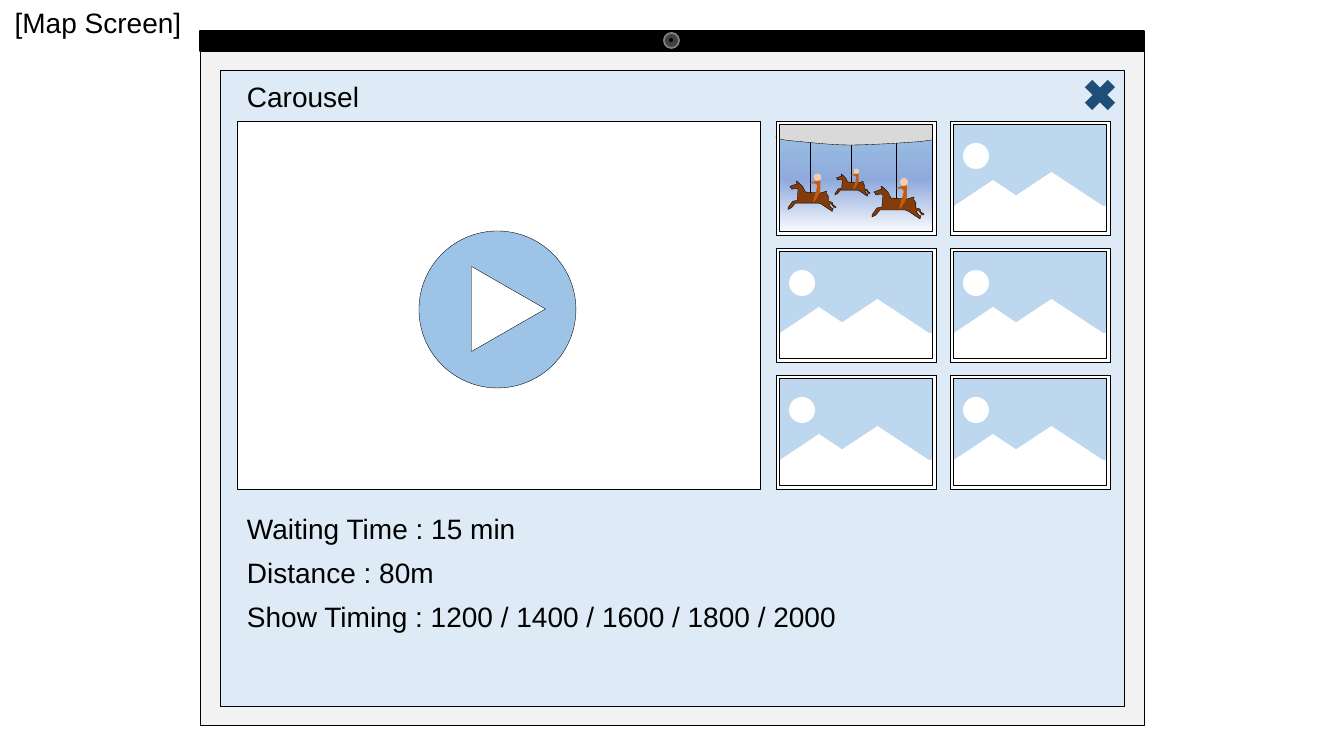
import copy

import pptx
import pptx.dml.color
import pptx.enum.shapes
import pptx.enum.text
import pptx.oxml.ns
import pptx.util

SHAPE = pptx.enum.shapes.MSO_SHAPE
PX = 914400 / 100.8
BLACK, WHITE = "000000", "FFFFFF"
TITLE = ("[Map Screen]", (0, 0, 196, 44))
LABELS = [
    ("Carousel", (237, 75, 590, 44)),
    ("Waiting Time : 15 min", (237, 507, 590, 44)),
    ("Distance : 80m", (237, 551, 590, 44)),
    ("Show Timing : 1200 / 1400 / 1600 / 1800 / 2000", (237, 595, 623, 44)),
]
TABLET = [
    (SHAPE.RECTANGLE, (200, 51, 944, 674), "F2F2F2", BLACK, 0.25),
    (SHAPE.RECTANGLE, (200, 31, 944, 20), BLACK, BLACK, 1),
    (SHAPE.OVAL, (663, 32, 17, 17), "808080"),
    (SHAPE.OVAL, (665, 34, 13, 13), "404040"),
    (SHAPE.OVAL, (669, 38, 4, 4), BLACK),
]
SCREEN = [
    (SHAPE.RECTANGLE, (220, 70, 904, 636), "DEEBF7", BLACK),
    (SHAPE.RECTANGLE, (237, 121, 523, 368), WHITE, BLACK),
    (SHAPE.MATH_MULTIPLY, (1078, 73, 44, 44), "1F4E79"),
    (SHAPE.OVAL, (419, 231, 157, 157), "9DC3E6", BLACK),
]
PLAY_ARROW = (SHAPE.ISOSCELES_TRIANGLE, (466, 272, 85, 74), WHITE, BLACK)
GRID_LEFT, GRID_TOP, COLUMN_STEP, ROW_STEP = 776, 121, 174, 127
THUMB_WIDTH, THUMB_HEIGHT = 160, 114
LANDSCAPE = [
    (SHAPE.ISOSCELES_TRIANGLE, (4, 59, 78, 26)),
    (SHAPE.ISOSCELES_TRIANGLE, (50, 51, 103, 34)),
    (SHAPE.OVAL, (13, 22, 26, 26)),
    (SHAPE.RECTANGLE, (4, 85, 154, 25)),
]
SKY = [(0, WHITE), (0.48, "8FAADC"), (1, "9DC3E6")]
HORSES = [(788, 181, 48, 142), (835, 174, 35, 145), (872, 186, 52, 143)]
HORSE_WIDTH = 52
HORSE = [
    (9, 0), (10, 3), (2, 6), (3, 7), (4, 9), (9, 8), (11, 9), (10, 21), (5, 22),
    (0, 29), (0, 31), (4, 29), (8, 24), (23, 24), (30, 24), (33, 24), (36, 25),
    (39, 27), (45, 31), (48, 33), (49, 30), (47, 29), (44, 25), (47, 25), (50, 29),
    (52, 29), (52, 28), (49, 26), (48, 23), (44, 22), (44, 17), (42, 14), (42, 11),
    (35, 13), (19, 12), (16, 6), (12, 2),
]
RIDER = [
    (31, 0), (29, 0), (24, 2), (24, 3), (23, 3), (29, 2), (30, 3), (32, 4), (32, 6),
    (31, 8), (31, 11), (29, 13), (29, 16), (28, 18), (27, 23), (28, 23), (28, 23),
    (31, 19), (32, 17), (33, 15), (34, 14), (34, 13), (35, 11), (35, 10), (35, 8),
    (35, 6), (35, 2), (35, 0), (34, -1), (33, 0), (31, 0),
]
CANOPY = [
    (1, 15), (4, 16), (6, 17), (18, 18), (30, 19), (54, 22), (74, 22), (94, 22),
    (124, 20), (138, 19), (152, 18), (154, 17), (157, 17), (161, 16), (157, 16),
    (158, 15), (158, 13), (159, 11), (159, 8), (159, 6), (159, 2), (158, 1), (157, -1),
    (154, 0), (154, 0), (154, 0), (24, 0), (24, 0), (-1, 0), (6, 0), (3, 0), (-1, 0),
    (2, -1), (1, 1), (1, 2), (2, 9), (2, 11), (2, 13), (-2, 14), (1, 15),
]


def px(value):
    return pptx.util.Emu(round(value * PX))


def color(value):
    return pptx.dml.color.RGBColor.from_string(value)


def style(shape, fill, line=None, weight=0.25):
    shape.shadow.inherit = False
    shape.fill.solid()
    shape.fill.fore_color.rgb = color(fill)
    if line:
        shape.line.color.rgb = color(line)
        shape.line.width = pptx.util.Pt(weight)
    else:
        shape.line.fill.background()
    return shape


def draw(shapes, kind, box, fill, line=None, weight=0.25):
    return style(shapes.add_shape(kind, *map(px, box)), fill, line, weight)


def write(shape, text, size=20, font="Arial", fill=BLACK, align="LEFT", wrap=True):
    frame = shape.text_frame
    frame.word_wrap = wrap
    frame.auto_size = pptx.enum.text.MSO_AUTO_SIZE.SHAPE_TO_FIT_TEXT
    frame.vertical_anchor = pptx.enum.text.MSO_ANCHOR.TOP
    frame.text = text
    paragraph = frame.paragraphs[0]
    paragraph.alignment = getattr(pptx.enum.text.PP_ALIGN, align)
    paragraph.font.size = pptx.util.Pt(size)
    paragraph.font.name = font
    paragraph.font.color.rgb = color(fill)


def flatten(nodes, steps=6):
    points = [nodes[0]]
    for start in range(0, len(nodes) - 1, 3):
        curve = nodes[start:start + 4]
        for step in range(1, steps + 1):
            t = step / steps
            weights = ((1 - t) ** 3, 3 * t * (1 - t) ** 2, 3 * t * t * (1 - t), t ** 3)
            points.append(tuple(
                sum(w * node[axis] for w, node in zip(weights, curve)) for axis in (0, 1)
            ))
    return points


def outline(shapes, points, left, top, unit, fill, line=None):
    fine = [(round(x * 100), round(y * 100)) for x, y in points]
    builder = shapes.build_freeform(*fine[0], scale=unit * PX / 100)
    builder.add_line_segments(fine[1:], close=True)
    return style(builder.convert_to_shape(px(left), px(top)), fill, line)


def add_pole(shapes, x, top, bottom):
    pole = shapes.add_connector(
        pptx.enum.shapes.MSO_CONNECTOR.STRAIGHT, px(x), px(top), px(x), px(bottom))
    pole.line.color.rgb = color(BLACK)
    pole.line.width = pptx.util.Pt(0.5)
    properties = pole._element.spPr
    properties.append(properties.makeelement(pptx.oxml.ns.qn("a:effectLst"), {}))


def add_landscape(shapes, left, top):
    for kind, (x, y, width, height) in LANDSCAPE:
        draw(shapes, kind, (left + x, top + y, width, height), WHITE)


def add_carousel(shapes, backdrop):
    backdrop.fill.gradient()
    backdrop.fill.gradient_angle = 90
    stop_list = backdrop._element.spPr.find(".//" + pptx.oxml.ns.qn("a:gsLst"))
    stop_list.append(copy.deepcopy(stop_list[0]))
    for stop, (position, shade) in zip(backdrop.fill.gradient_stops, SKY):
        stop.position = position
        stop.color.rgb = color(shade)
    for left, top, width, pole_top in HORSES:
        unit = width / HORSE_WIDTH
        add_pole(shapes, left + 24 * unit, pole_top, top + 14 * unit)
        outline(shapes, HORSE, left, top, unit, "843C0B", BLACK)
        head = (left + 28 * unit, top - 8 * unit, 8 * unit, 8 * unit)
        draw(shapes, SHAPE.OVAL, head, "F8CBAD")
        outline(shapes, flatten(RIDER), left, top, unit, "C55A11")
    outline(shapes, flatten(CANOPY), GRID_LEFT, GRID_TOP + 2, 1, "D9D9D9", BLACK)


def add_thumbnail(slide, column, row):
    shapes = slide.shapes.add_group_shape().shapes
    left, top = GRID_LEFT + column * COLUMN_STEP, GRID_TOP + row * ROW_STEP
    box = (left, top, THUMB_WIDTH, THUMB_HEIGHT)
    backdrop = draw(shapes, SHAPE.RECTANGLE, box, "BDD7EE", BLACK)
    if (column, row) == (0, 0):
        add_carousel(shapes, backdrop)
    else:
        add_landscape(shapes, left, top)
    draw(shapes, SHAPE.FRAME, box, WHITE, BLACK).adjustments[0] = 0.03


def main():
    presentation = pptx.Presentation()
    presentation.slide_width, presentation.slide_height = px(1344), px(756)
    slide = presentation.slides.add_slide(presentation.slide_layouts[5])
    text, box = TITLE
    title = slide.shapes.title
    title.left, title.top, title.width, title.height = map(px, box)
    write(title, text, align="CENTER", wrap=False)
    tablet = slide.shapes.add_group_shape()
    for part in TABLET:
        draw(tablet.shapes, *part)
    for part in SCREEN:
        draw(slide.shapes, *part)
    draw(slide.shapes, *PLAY_ARROW).rotation = 90
    for text, box in LABELS:
        write(slide.shapes.add_textbox(*map(px, box)), text)
    for row in range(3):
        for column in range(2):
            add_thumbnail(slide, column, row)
    presentation.save("out.pptx")


if __name__ == "__main__":
    main()
